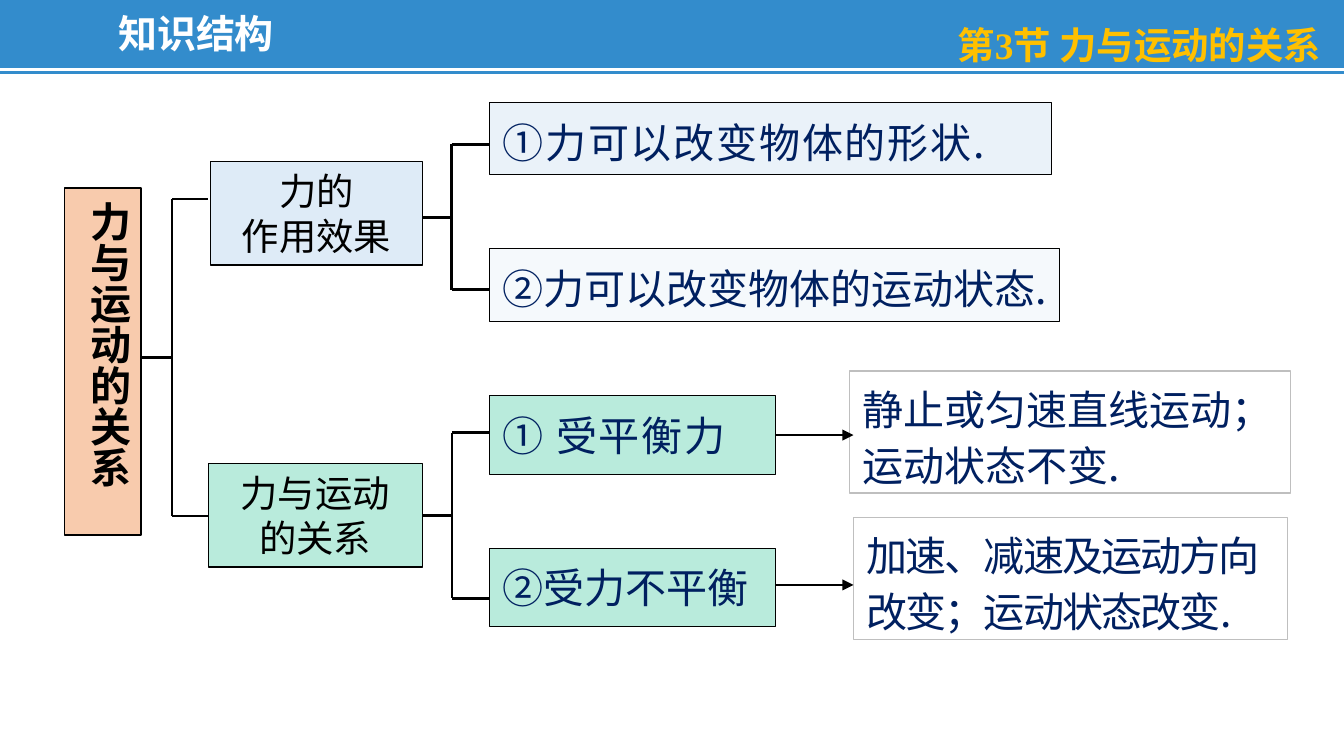
from dataclasses import dataclass, field

from lxml import etree
from pptx import Presentation
from pptx import util as u
from pptx.dml.color import RGBColor
from pptx.enum import shapes, text
from pptx.oxml import ns

COLORS = {
    "blue": "0070C0", "white": "FFFFFF", "gold": "FFC000", "black": "000000",
    "navy": "002060", "peach": "F8CBAD", "pale": "DEEBF7", "mint": "B9EBDC",
    "grey": "BFBFBF",
}
CJK = "Noto Sans CJK SC"
LEFT, CENTER, RIGHT, JUSTIFY = (
    text.PP_ALIGN.LEFT, text.PP_ALIGN.CENTER, text.PP_ALIGN.RIGHT, text.PP_ALIGN.JUSTIFY)
SHARP = shapes.MSO_SHAPE.RECTANGLE
ROUNDED = shapes.MSO_SHAPE.ROUNDED_RECTANGLE


@dataclass
class TextFormat:
    size: float = 22
    color: str = "navy"
    font: str = CJK
    bold: bool = False
    align: int = LEFT
    line_spacing: object = None
    tracking: float = 0


@dataclass
class Box:
    left: float
    top: float
    width: float
    height: float
    lines: tuple = ()
    text_format: TextFormat = field(default_factory=TextFormat)
    fill: str | None = None
    opacity: int = 100
    border: str | None = "black"
    border_width: float = 0.75
    preset: int = SHARP
    middle: bool = False
    vertical: bool = False


@dataclass
class Bracket:
    stem_left: float
    stem_y: float
    spine: float
    right: float
    top: float
    bottom: float


def rgb(name: str) -> RGBColor:
    return RGBColor.from_string(COLORS[name])


def write_text(shape, lines: tuple, style: TextFormat) -> None:
    frame = shape.text_frame
    frame.word_wrap = True
    for index, line in enumerate(lines):
        paragraph = frame.paragraphs[0] if index == 0 else frame.add_paragraph()
        paragraph.alignment = style.align
        if style.line_spacing:
            paragraph.line_spacing = style.line_spacing
        run = paragraph.add_run()
        run.text = line
        values = {"size": u.Pt(style.size), "bold": style.bold, "name": style.font}
        for name, value in values.items():
            setattr(run.font, name, value)
        run.font.color.rgb = rgb(style.color)
        properties = run._r.get_or_add_rPr()
        etree.SubElement(properties, ns.qn("a:ea")).set("typeface", CJK)
        if style.tracking:
            properties.set("spc", str(int(style.tracking * 100)))


def add_box(slide, box: Box) -> None:
    shape = slide.shapes.add_shape(
        box.preset, *map(u.Pt, (box.left, box.top, box.width, box.height)))
    shape.shadow.inherit = False
    if box.preset == ROUNDED:
        shape.adjustments[0] = 0
    if box.fill:
        shape.fill.solid()
        shape.fill.fore_color.rgb = rgb(box.fill)
        if box.opacity < 100:
            color = shape.fill._xPr.find(".//" + ns.qn("a:srgbClr"))
            etree.SubElement(color, ns.qn("a:alpha")).set("val", str(box.opacity * 1000))
    else:
        shape.fill.background()
    if box.border:
        shape.line.color.rgb = rgb(box.border)
        shape.line.width = u.Pt(box.border_width)
    else:
        shape.line.fill.background()
    anchors = text.MSO_ANCHOR
    shape.text_frame.vertical_anchor = anchors.MIDDLE if box.middle else anchors.TOP
    if box.vertical:
        shape.text_frame._txBody.bodyPr.set("vert", "eaVert")
    write_text(shape, box.lines, box.text_format)


def add_label(slide, left: float, top: float, width: float, height: float,
              label: str, style: TextFormat) -> None:
    shape = slide.shapes.add_textbox(*map(u.Pt, (left, top, width, height)))
    write_text(shape, (label,), style)


def add_line(slide, x1: float, y1: float, x2: float, y2: float,
             color: str = "black", width: float = 1.5, arrow: bool = False) -> None:
    line = slide.shapes.add_connector(
        shapes.MSO_CONNECTOR.STRAIGHT, *map(u.Pt, (x1, y1, x2, y2)))
    line.line.color.rgb = rgb(color)
    line.line.width = u.Pt(width)
    if arrow:
        etree.SubElement(line.line._get_or_add_ln(), ns.qn("a:tailEnd")).set("type", "triangle")
    etree.SubElement(line._element.spPr, ns.qn("a:effectLst"))


def add_bracket(slide, bracket: Bracket) -> None:
    """Draw a spine with one stem on the left and two branches on the right."""
    add_line(slide, bracket.spine, bracket.top, bracket.spine, bracket.bottom)
    for y in (bracket.top, bracket.bottom):
        add_line(slide, bracket.spine, y, bracket.right, y)
    add_line(slide, bracket.stem_left, bracket.stem_y, bracket.spine, bracket.stem_y)


TOPIC = TextFormat(color="black", bold=True, align=CENTER)
BRANCH = TextFormat(size=20, color="black", align=CENTER, line_spacing=u.Pt(24))
EFFECT = TextFormat(line_spacing=u.Pt(30))
WIDE_EFFECT = TextFormat(align=JUSTIFY, line_spacing=u.Pt(30), tracking=1)
TIGHT_RESULT = TextFormat(line_spacing=u.Pt(30), tracking=-1)
LEAF = {"border_width": 0.5, "preset": ROUNDED, "middle": True}
LEAF_LEFT = 262.1

BOXES = [
    Box(34.6, 100.8, 41, 185.8, ("力与运动的关系",), TOPIC, "peach", vertical=True),
    Box(112.7, 86.4, 113.8, 55.6, ("力的", "作用效果"), BRANCH, "pale"),
    Box(111.6, 248.2, 114.6, 55.6, ("力与运动", "的关系"), BRANCH, "mint"),
    Box(LEAF_LEFT, 54.7, 301, 39, ("①力可以改变物体的形状.",), WIDE_EFFECT,
        "pale", 63, **LEAF),
    Box(LEAF_LEFT, 133.4, 305.4, 38.9, ("②力可以改变物体的运动状态.",), EFFECT,
        "pale", 29, **LEAF),
    Box(LEAF_LEFT, 212, 153.4, 42, ("① 受平衡力",), TextFormat(tracking=1), "mint", **LEAF),
    Box(LEAF_LEFT, 293.8, 153.4, 42, ("②受力不平衡",), TextFormat(), "mint", **LEAF),
    Box(455, 198.7, 236.4, 65.5, ("静止或匀速直线运动；运动状态不变.",), EFFECT, border="grey"),
    Box(457.2, 277.2, 232.6, 65.5, ("加速、减速及运动方向改变；运动状态改变.",),
        TIGHT_RESULT, border="grey"),
]
BRACKETS = [
    Bracket(75.6, 191.5, 92.2, 111.6, 106.6, 276.5),
    Bracket(224.9, 116.6, 241.9, LEAF_LEFT, 77.4, 155.2),
    Bracket(224.9, 276.3, 242.2, LEAF_LEFT, 231.8, 320.6),
]
ARROW_YS = (233.1, 313.4)


def main() -> None:
    presentation = Presentation()
    presentation.slide_width, presentation.slide_height = u.Pt(720), u.Pt(404)
    slide = presentation.slides.add_slide(presentation.slide_layouts[6])

    add_box(slide, Box(0, 0, 720, 39.6, fill="blue", opacity=80, border=None))
    add_line(slide, 0, 37.4, 720, 37.4, "white")
    add_label(slide, 56.2, 4.3, 150.5, 28, "知识结构",
              TextFormat(20.9, "white", bold=True, line_spacing=0.9))
    add_label(slide, 472.3, -3.6, 242.6, 39.6, "第3节 力与运动的关系",
              TextFormat(20, "gold", "Times New Roman", True, RIGHT, u.Pt(36)))
    for bracket in BRACKETS:
        add_bracket(slide, bracket)
    for box in BOXES:
        add_box(slide, box)
    for y in ARROW_YS:
        add_line(slide, 415.5, y, 457.2, y, width=1, arrow=True)
    presentation.save("out.pptx")


if __name__ == "__main__":
    main()
